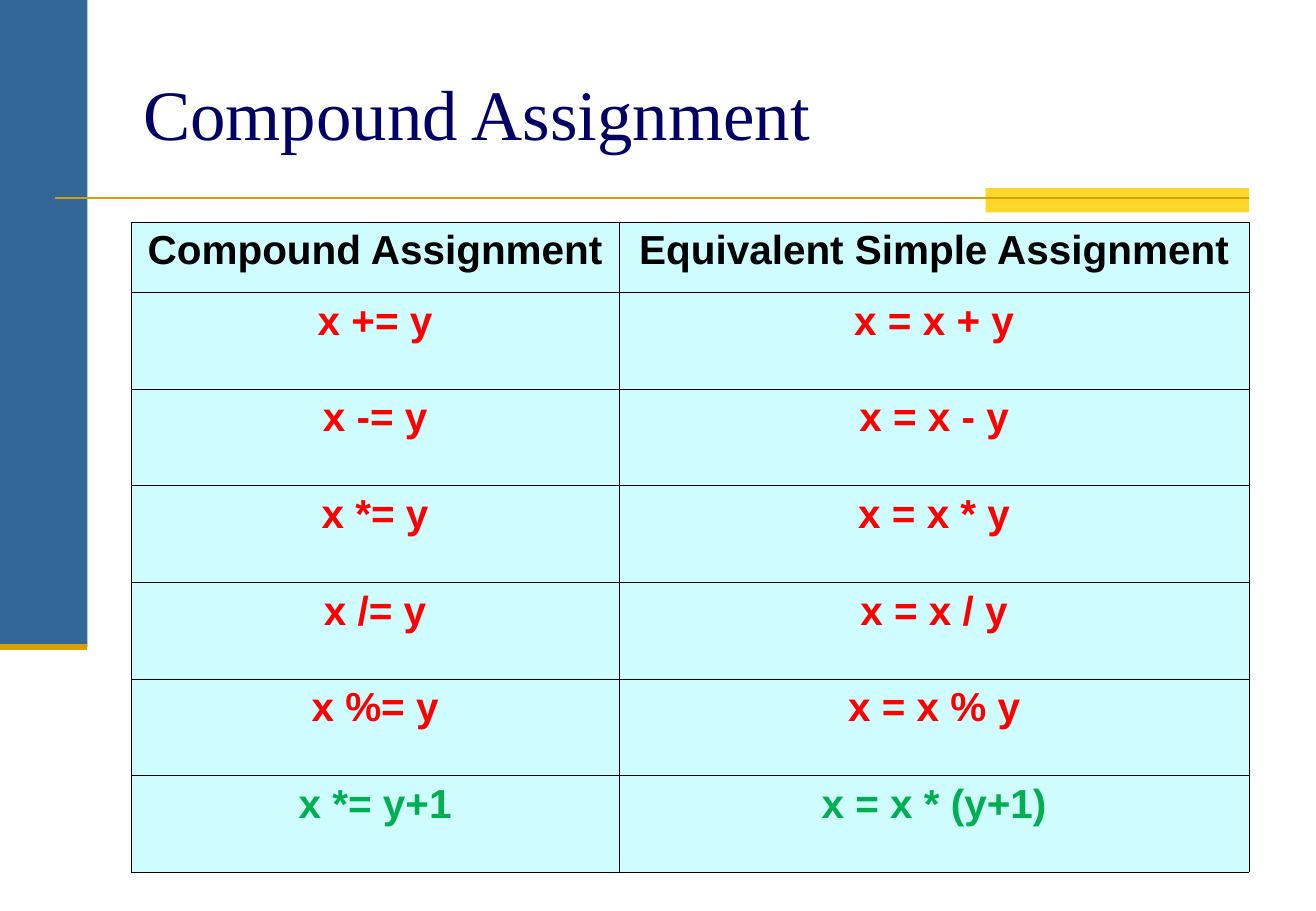
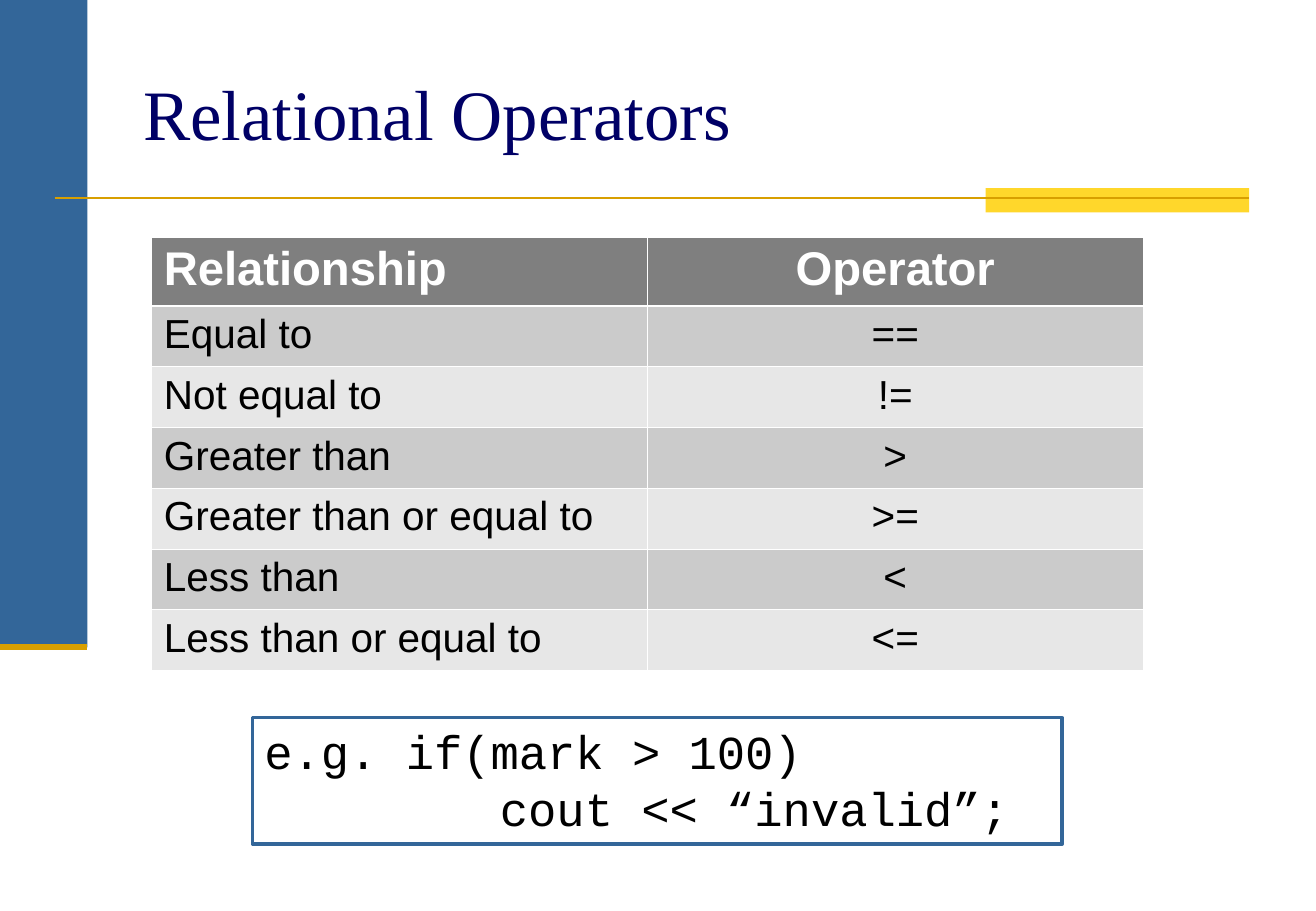
from lxml import etree
from pptx import Presentation
from pptx import util as u
from pptx.dml.color import RGBColor
from pptx.enum import shapes, text
from pptx.oxml.ns import qn

PX = 9144  # 100 px to the inch
NAVY, BLUE, YELLOW, GOLD = "000066", "336699", "FFD72B", "D89F00"
BLACK, WHITE, RED, GREEN = "000000", "FFFFFF", "FF0000", "00B050"
AQUA, HEADER_GREY, BANDS = "A0FAFE", "7F7F7F", ("E7E7E7", "CBCBCB")


def rgb(color):
    return RGBColor.from_string(color)


def add_grid(slide, rows, box, first_col, header_height, border, header_rule):
    """Add a bordered Arial table and return its (row, column, cell) triples.

    box is left, top, width, height; header_rule is the width in points
    of the line below the first row.
    """
    left, top, width, height = box
    table = slide.shapes.add_table(
        len(rows), 2, left * PX, top * PX, width * PX, height * PX).table
    table.first_row = table.horz_banding = False
    table.columns[0].width = first_col * PX
    table.columns[1].width = (width - first_col) * PX
    cells = []
    for r, row in enumerate(rows):
        row_height = header_height if r == 0 else (height - header_height) / (len(rows) - 1)
        table.rows[r].height = int(row_height * PX)
        for c, words in enumerate(row):
            cell = table.cell(r, c)
            cell.text_frame.text = words
            cell.text_frame.paragraphs[0].runs[0].font.name = "Arial"
            properties = cell._tc.get_or_add_tcPr()
            for side in ("L", "R", "T", "B"):
                on_rule = (r, side) in ((0, "B"), (1, "T"))
                points = header_rule if on_rule else 0.45
                edge = etree.SubElement(properties, qn(f"a:ln{side}"), w=str(u.Pt(points)))
                fill = etree.SubElement(edge, qn("a:solidFill"))
                etree.SubElement(fill, qn("a:srgbClr"), val=border)
            cells.append((r, c, cell))
    return cells


prs = Presentation()
prs.slide_width, prs.slide_height = 1084 * PX, 750 * PX
layout = prs.slide_layouts[5]

# The layout keeps only its title
for holder in list(layout.placeholders):
    if holder.placeholder_format.type == shapes.PP_PLACEHOLDER.TITLE:
        holder.left, holder.top = 108 * PX, 30 * PX
        holder.width, holder.height = 921 * PX, 125 * PX
    else:
        holder.element.getparent().remove(holder.element)

titles = "Compound Assignment", "Relational Operators"
compound, relational = [prs.slides.add_slide(layout) for _ in titles]
for slide, words in zip((compound, relational), titles):
    frame = slide.shapes.title.text_frame
    frame.text = words
    frame.vertical_anchor = text.MSO_ANCHOR.MIDDLE
    heading = frame.paragraphs[0]
    heading.alignment = text.PP_ALIGN.LEFT
    font = heading.runs[0].font
    font.name, font.size, font.color.rgb = "Times New Roman", u.Pt(42), rgb(NAVY)

# Bands and rules are drawn once and moved into the layout
decoration = []
for left, top, width, height, color in ((0, 0, 72, 533, BLUE), (812, 155, 217, 20, YELLOW)):
    band = compound.shapes.add_shape(
        shapes.MSO_SHAPE.RECTANGLE, left * PX, top * PX, width * PX, height * PX)
    band.shadow.inherit = False
    band.fill.solid()
    band.fill.fore_color.rgb = rgb(color)
    band.line.fill.background()
    decoration.append(band)
for left, right, y, points in ((45, 1029, 163, 1.5), (0, 72, 533, 3.5)):
    rule = compound.shapes.add_connector(
        shapes.MSO_CONNECTOR.STRAIGHT, left * PX, y * PX, right * PX, y * PX)
    rule.line.color.rgb, rule.line.width = rgb(GOLD), u.Pt(points)
    etree.SubElement(rule.element.spPr, qn("a:effectLst"))
    decoration.append(rule)
for position, part in enumerate(decoration, start=2):
    layout.shapes.element.insert(position, part.element)

# Compound assignment
assignments = [
    ("Compound Assignment", "Equivalent Simple Assignment"),
    ("x += y", "x = x + y"),
    ("x -= y", "x = x - y"),
    ("x *= y", "x = x * y"),
    ("x /= y", "x = x / y"),
    ("x %= y", "x = x % y"),
    ("x *= y+1", "x = x * (y+1)"),
]
row_colors = [BLACK] + [RED] * 5 + [GREEN]
for r, c, cell in add_grid(compound, assignments, (108, 183, 921, 535), 402, 58, BLACK, 0.45):
    cell.margin_left = cell.margin_right = 5 * PX
    cell.fill.solid()
    cell.fill.fore_color.rgb = rgb(AQUA)
    tint = cell._tc.tcPr.find(qn("a:solidFill")).find(qn("a:srgbClr"))
    etree.SubElement(tint, qn("a:alpha"), val="50000")
    paragraph = cell.text_frame.paragraphs[0]
    paragraph.alignment = text.PP_ALIGN.CENTER
    font = paragraph.runs[0].font
    font.size, font.bold, font.color.rgb = u.Pt(24), True, rgb(row_colors[r])

# Relational operators
operators = [
    ("Relationship", "Operator"),
    ("Equal to", "=="),
    ("Not equal to", "!="),
    ("Greater than", ">"),
    ("Greater than or equal to", ">="),
    ("Less than", "<"),
    ("Less than or equal to", "<="),
]
for r, c, cell in add_grid(relational, operators, (125, 195, 817, 357), 408, 57, WHITE, 1.47):
    is_header = r == 0
    cell.fill.solid()
    cell.fill.fore_color.rgb = rgb(HEADER_GREY if is_header else BANDS[r % 2])
    paragraph = cell.text_frame.paragraphs[0]
    paragraph.alignment = text.PP_ALIGN.CENTER if c else text.PP_ALIGN.LEFT
    font = paragraph.runs[0].font
    font.size, font.bold = u.Pt(28 if is_header else 24), is_header
    font.color.rgb = rgb(WHITE if is_header else BLACK)

example = relational.shapes.add_shape(
    shapes.MSO_SHAPE.RECTANGLE, 208 * PX, 591 * PX, 667 * PX, 104 * PX)
example.shadow.inherit = False
example.fill.solid()
example.fill.fore_color.rgb = rgb(WHITE)
example.line.color.rgb, example.line.width = rgb(BLUE), u.Pt(2)
frame = example.text_frame
frame.word_wrap = True
frame.vertical_anchor = text.MSO_ANCHOR.TOP
frame.margin_top = frame.margin_bottom = 4 * PX
frame.text = "e.g. if(mark > 100)\ncout << “invalid”;"
for code_line in frame.paragraphs:
    code_line.alignment = text.PP_ALIGN.LEFT
    code_line.space_before = u.Pt(0)
    font = code_line.runs[0].font
    font.name, font.size, font.color.rgb = "Courier New", u.Pt(28), rgb(BLACK)
frame.paragraphs[1]._p.get_or_add_pPr().set("marL", str(194 * PX))

prs.save("out.pptx")
